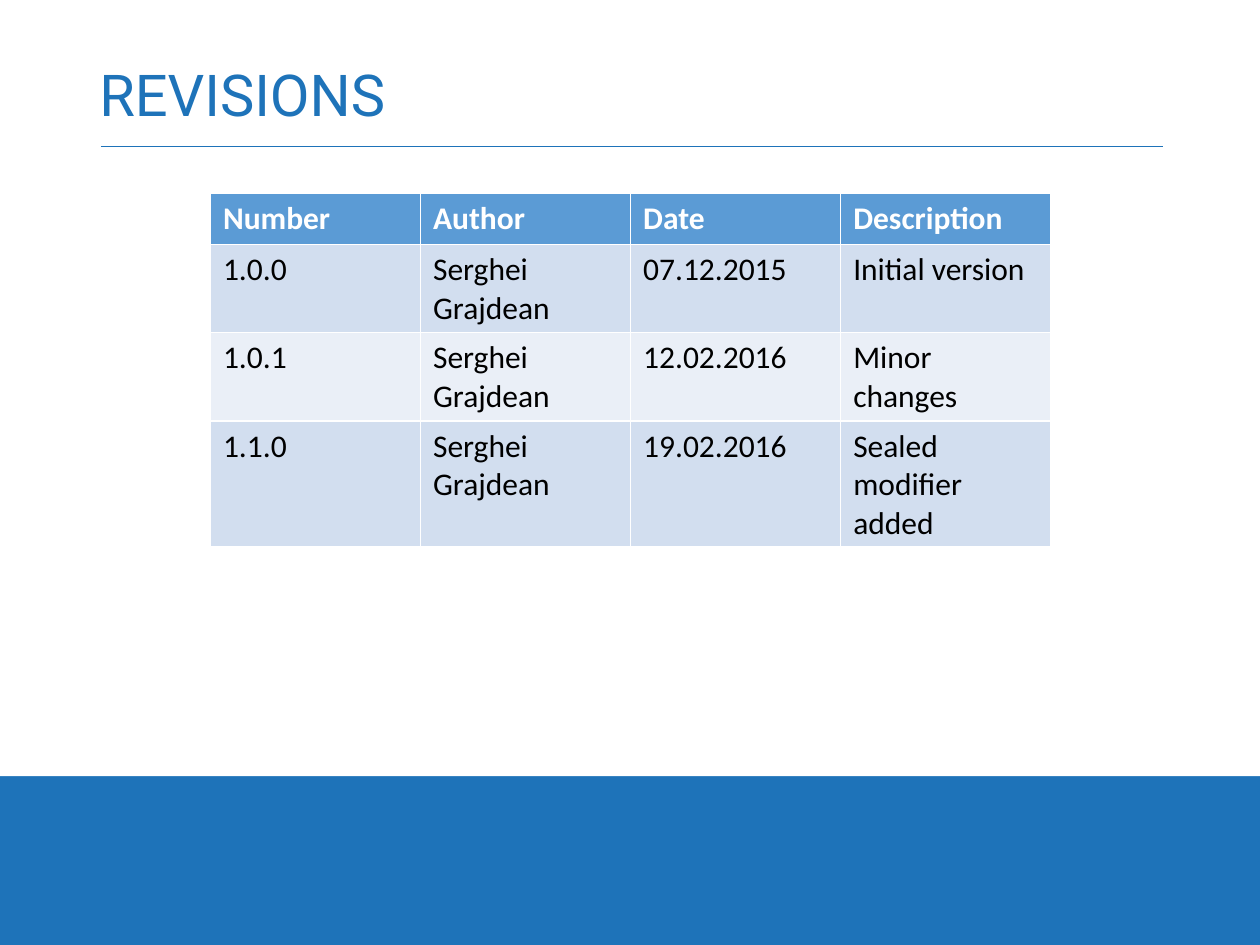
from dataclasses import dataclass

from lxml import etree
from pptx import Presentation
from pptx import util as u
from pptx.dml.color import RGBColor
from pptx.enum import shapes, text
from pptx.oxml.ns import qn

BLUE = RGBColor(0x1E, 0x73, 0xB9)
WHITE = RGBColor(0xFF, 0xFF, 0xFF)
BLACK = RGBColor(0, 0, 0)
HEAD = RGBColor(0x5B, 0x9B, 0xD5)
DARK = RGBColor(0xD2, 0xDE, 0xEF)
LIGHT = RGBColor(0xEA, 0xEF, 0xF7)


@dataclass
class Row:
    cells: tuple[str, ...]
    fill: RGBColor
    color: RGBColor = BLACK
    bold: bool = False


ROWS = [
    Row(("Number", "Author", "Date", "Description"), HEAD, WHITE, True),
    Row(("1.0.0", "Serghei Grajdean", "07.12.2015", "Initial version"), DARK),
    Row(("1.0.1", "Serghei Grajdean", "12.02.2016", "Minor changes"), LIGHT),
    Row(("1.1.0", "Serghei Grajdean", "19.02.2016", "Sealed modifier added"), DARK),
]


def write(frame, words: str, *, size: float, color: RGBColor,
          font: str = "Calibri", bold: bool = False, space: float | None = None) -> None:
    frame.word_wrap = True
    para = frame.paragraphs[0]
    para.line_spacing = space
    run = para.add_run()
    run.text = words
    run.font.name = font
    run.font.size = u.Pt(size)
    run.font.bold = bold
    run.font.color.rgb = color


def draw_back(slide) -> None:
    fill = slide.background.fill
    fill.solid()
    fill.fore_color.rgb = BLUE
    panel = slide.shapes.add_shape(
        shapes.MSO_SHAPE.RECTANGLE, 0, 0, u.Inches(10), u.Inches(6.16))
    panel.shadow.inherit = False
    panel.fill.solid()
    panel.fill.fore_color.rgb = WHITE
    panel.line.fill.background()


def draw_title(slide) -> None:
    rule = slide.shapes.add_connector(
        shapes.MSO_CONNECTOR.STRAIGHT,
        u.Inches(0.8), u.Inches(1.16), u.Inches(9.23), u.Inches(1.16))
    rule.line.color.rgb = BLUE
    rule.line.width = u.Pt(0.5)
    etree.SubElement(rule._element.spPr, qn("a:effectLst"))
    title = slide.shapes.add_textbox(
        u.Inches(0.69), u.Inches(0.4), u.Inches(8.62), u.Inches(0.76))
    title.text_frame.vertical_anchor = text.MSO_ANCHOR.MIDDLE
    write(title.text_frame, "REVISIONS", size=33, color=BLUE, font="Roboto", space=0.9)


def draw_table(slide, rows: list[Row]) -> None:
    table = slide.shapes.add_table(
        len(rows), len(rows[0].cells), u.Inches(1.67), u.Inches(1.53),
        u.Inches(6.67), u.Inches(0.41 * len(rows))).table
    for line, row in zip(table.rows, rows):
        for cell, words in zip(line.cells, row.cells):
            cell.fill.solid()
            cell.fill.fore_color.rgb = row.fill
            write(cell.text_frame, words, size=18, color=row.color, bold=row.bold)


def main() -> None:
    deck = Presentation()
    deck.slide_width = u.Inches(10)
    deck.slide_height = u.Inches(7.5)
    slide = deck.slides.add_slide(deck.slide_layouts[6])
    draw_back(slide)
    draw_title(slide)
    draw_table(slide, ROWS)
    deck.save("out.pptx")


if __name__ == "__main__":
    main()
